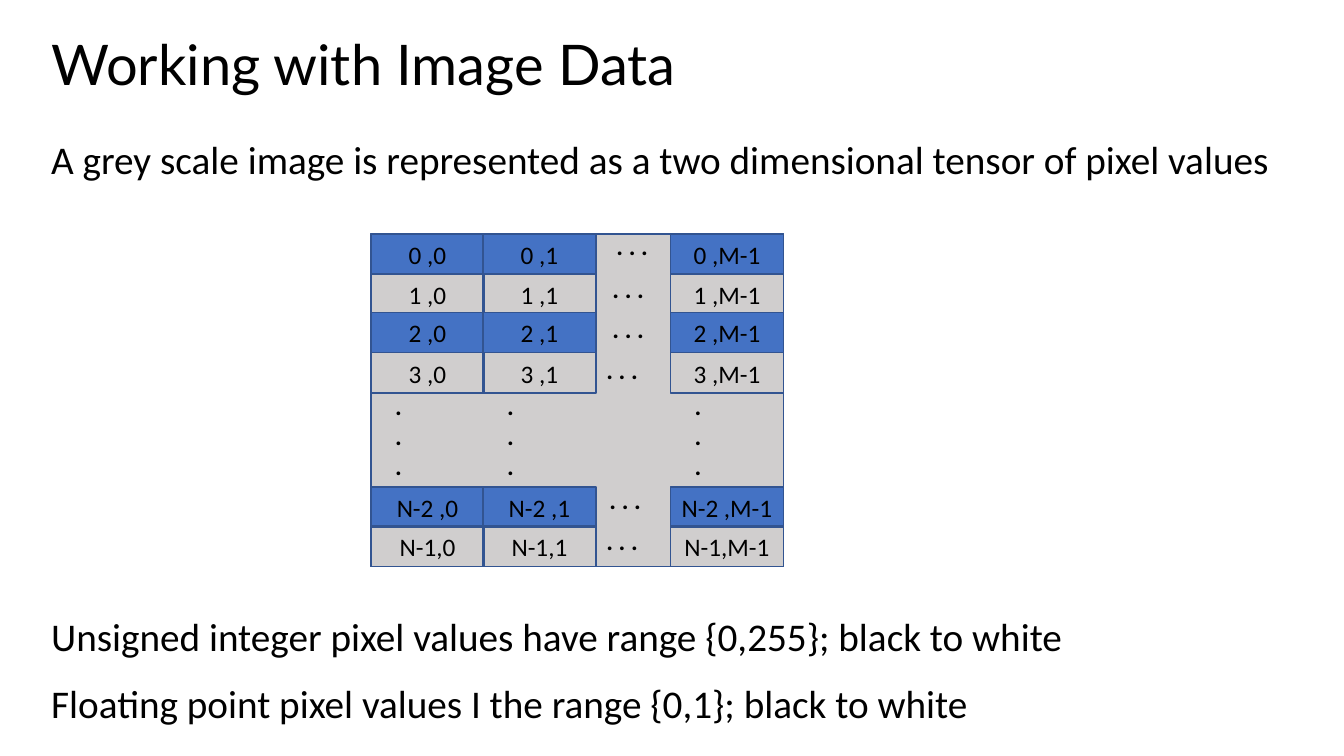
from pptx import Presentation
from pptx.dml.color import RGBColor
from pptx.enum.shapes import MSO_SHAPE as Shape
from pptx.enum.text import MSO_ANCHOR as Anchor, MSO_AUTO_SIZE as AutoSize, PP_ALIGN as Align
from pptx.util import Inches, Pt

BLACK, BLUE, GREY, OUTLINE = "000000", "4472C4", "D0CECE", "325491"
ROWS = [("0 ", 0, 0.08, 0.09), ("1 ", 0.4, 0.06, 0.05), ("2 ", 0.78, 0.04, 0.05),
        ("3 ", 1.18, 0.03, -0.01), ("N-2 ", 2.51, 0.07, 0.02), ("N-1", 2.9, 0.06, -0.01)]
COLUMNS = [("M-1", 2.97), ("0", 0), ("1", 1.11)]
CELL_WIDTH, CELL_HEIGHT = 1.12, 0.4


def color(value):
    return RGBColor.from_string(value)


def write(shape, *lines, size=18, font="Calibri", bold=False, align=Align.LEFT,
          anchor=Anchor.TOP, wrap=True, inset=0.1, before=0, spacing=None):
    frame = shape.text_frame
    frame.text = "\n".join(lines)
    frame.auto_size = AutoSize.NONE
    frame.word_wrap = wrap
    frame.vertical_anchor = anchor
    frame.margin_left = frame.margin_right = Inches(inset)
    frame.margin_top = frame.margin_bottom = Inches(0.05)
    for paragraph in frame.paragraphs:
        paragraph.alignment = align
        paragraph.space_before = Pt(before)
        paragraph.line_spacing = spacing
        for run in paragraph.runs:
            run.font.name, run.font.size, run.font.bold = font, Pt(size), bold
            run.font.color.rgb = color(BLACK)


def add_text(slide, left, top, width, height, *lines, **style):
    box = slide.shapes.add_textbox(*map(Inches, (left, top, width, height)))
    write(box, *lines, **style)


def add_rectangle(slide, left, top, width, height, fill=None):
    shape = slide.shapes.add_shape(Shape.RECTANGLE, *map(Inches, (left, top, width, height)))
    shape.shadow.inherit = False
    if fill:
        shape.fill.solid()
        shape.fill.fore_color.rgb = color(fill)
    else:
        shape.fill.background()
    shape.line.color.rgb = color(OUTLINE)
    shape.line.width = Pt(1)
    return shape


def add_title(slide, left, top, width, height):
    title = slide.shapes.title
    title.left, title.top, title.width, title.height = map(Inches, (left, top, width, height))
    write(title, "Working with Image Data", size=40, font="Lato", anchor=Anchor.MIDDLE, spacing=0.9)


def add_pixel_grid(slide, left, top, width, height):
    add_rectangle(slide, left, top, width, height, GREY)
    for column, offset in COLUMNS:
        for index, (row, drop, _, _) in enumerate(ROWS):
            fill = BLUE if index % 2 == 0 else None
            cell = add_rectangle(slide, left + offset, top + drop, CELL_WIDTH, CELL_HEIGHT, fill)
            write(cell, f"{row},{column}", align=Align.CENTER, anchor=Anchor.MIDDLE,
                  wrap=False, inset=0)
        add_text(slide, left + offset + 0.24, top + 1.5, 0.05, 1.01, ".", ".", ".",
                 bold=True, wrap=False, inset=0)
    for _, drop, rise, shift in ROWS:
        add_text(slide, left + 2.14 + shift, top + drop - rise, 0.72, CELL_HEIGHT, ". . .",
                 bold=True, align=Align.CENTER)


def main():
    presentation = Presentation()
    presentation.slide_width, presentation.slide_height = Inches(13.33), Inches(7.5)
    slide = presentation.slides.add_slide(presentation.slide_layouts[5])
    add_title(slide, 0.41, 0.28, 12.6, 0.78)
    add_text(slide, 0.41, 1.35, 12.6, 0.78,
             "A grey scale image is represented as a two dimensional tensor of pixel values",
             size=28, before=14, spacing=0.9)
    add_text(slide, 0.41, 6.03, 12.6, 1.41,
             "Unsigned integer pixel values have range {0,255}; black to white",
             "Floating point pixel values I the range {0,1}; black to white",
             size=28, before=14)
    add_pixel_grid(slide, 3.68, 2.32, 4.09, 3.3)
    presentation.save("out.pptx")


if __name__ == "__main__":
    main()
